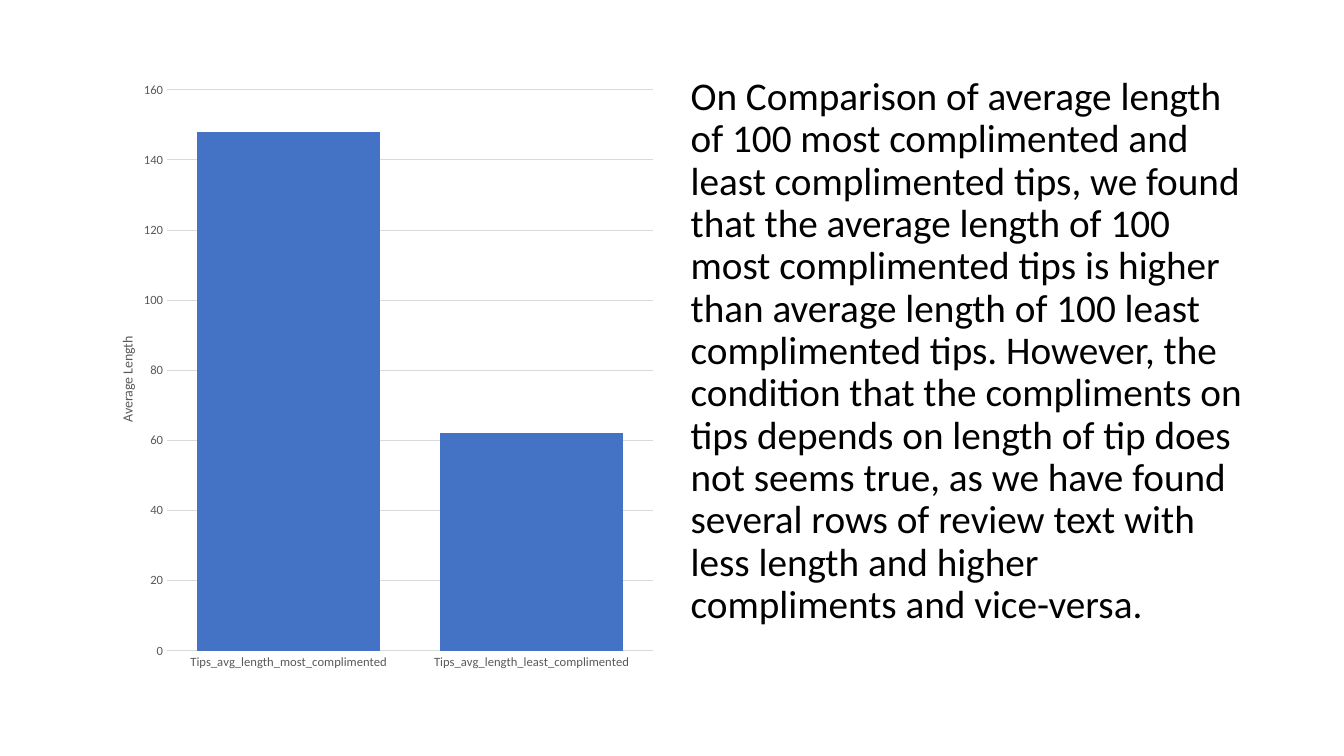
from dataclasses import dataclass

from lxml.etree import SubElement
from pptx import Presentation
from pptx.chart.chart import Chart
from pptx.chart.data import CategoryChartData
from pptx.dml.color import RGBColor
from pptx.enum.chart import XL_CHART_TYPE as ChartType, XL_TICK_MARK as TickMark
from pptx.enum.text import MSO_ANCHOR as Anchor, MSO_AUTO_SIZE as AutoSize, PP_ALIGN as Align
from pptx.oxml import parse_xml
from pptx.oxml.ns import nsdecls, qn
from pptx.slide import Slide
from pptx.util import Inches, Pt

BLACK = RGBColor(0x00, 0x00, 0x00)
GRAY = RGBColor(0x59, 0x59, 0x59)
PALE = RGBColor(0xD9, 0xD9, 0xD9)
BLUE = RGBColor(0x44, 0x72, 0xC4)
FONT = "Calibri"
WIDTH, HEIGHT = 13.33, 7.5
TOP, TALL, WIDE = 0.71, 6.05, 5.67
MARGIN, GUTTER = 0.92, 0.16

FINDING = (
    "On Comparison of average length of 100 most complimented and least "
    "complimented tips, we found that the average length of 100 most "
    "complimented tips is higher than average length of 100 least "
    "complimented tips. However, the condition that the compliments on tips "
    "depends on length of tip does not seems true, as we have found several "
    "rows of review text with less length and higher compliments and vice-versa."
)


@dataclass(frozen=True)
class Column:
    index: int

    def box(self) -> tuple[int, int, int, int]:
        left = MARGIN + self.index * (WIDE + GUTTER)
        return Inches(left), Inches(TOP), Inches(WIDE), Inches(TALL)


@dataclass(frozen=True)
class Bar:
    category: str
    length: int


BARS = (
    Bar("Tips_avg_length_most_complimented", 148),
    Bar("Tips_avg_length_least_complimented", 62),
)


def apply(target, values: dict) -> None:
    for name, value in values.items():
        setattr(target, name, value)


def style_font(font, size: int, color: RGBColor) -> None:
    apply(font, {"name": FONT, "size": Pt(size), "bold": False})
    font.color.rgb = color


def style_line(line) -> None:
    line.color.rgb = PALE
    line.width = Pt(0.75)


def place_part(part, index: int, shares: dict[str, float]) -> None:
    for old in part.findall(qn("c:layout")):
        part.remove(old)
    layout = parse_xml(f"<c:layout {nsdecls('c')}/>")
    manual = SubElement(layout, qn("c:manualLayout"))
    settings = {"xMode": "edge", "yMode": "edge", **shares}
    if "w" in shares:
        settings = {"layoutTarget": "inner", **settings}
    for name, value in settings.items():
        SubElement(manual, qn(f"c:{name}")).set("val", str(value))
    part.insert(index, layout)


def style_axes(chart: Chart) -> None:
    for axis in (chart.category_axis, chart.value_axis):
        apply(axis, {"major_tick_mark": TickMark.NONE, "minor_tick_mark": TickMark.NONE})
        style_font(axis.tick_labels.font, 9, GRAY)
    style_line(chart.category_axis.format.line)
    scale = chart.value_axis
    apply(scale, {"minimum_scale": 0, "maximum_scale": 160, "major_unit": 20})
    scale.format.line.fill.background()
    style_line(scale.major_gridlines.format.line)
    frame = scale.axis_title.text_frame
    frame.text = "Average Length"
    style_font(frame.paragraphs[0].runs[0].font, 10, GRAY)
    title = scale.axis_title._element
    body = next(title.iter(qn("a:bodyPr")))
    apply_attributes = {"rot": "-5400000", "vert": "horz"}
    for name, value in apply_attributes.items():
        body.set(name, value)
    place_part(title, 1, {"x": 0.04, "y": 0.43})


def add_lengths(page: Slide, column: Column) -> None:
    data = CategoryChartData()
    data.categories = [bar.category for bar in BARS]
    data.add_series("Series 1", [bar.length for bar in BARS])
    chart = page.shapes.add_chart(ChartType.COLUMN_CLUSTERED, *column.box(), data).chart
    apply(chart, {"has_legend": False, "has_title": False})
    style_font(chart.font, 10, BLACK)
    plot = chart.plots[0]
    apply(plot, {"gap_width": 33, "overlap": -30, "vary_by_categories": False})
    fill = plot.series[0].format.fill
    fill.solid()
    fill.fore_color.rgb = BLUE
    style_axes(chart)
    area = next(chart.element.iter(qn("c:plotArea")))
    place_part(area, 0, {"x": 0.13, "y": 0.03, "w": 0.85, "h": 0.92})


def write_finding(page: Slide, column: Column) -> None:
    box = page.placeholders[1]
    apply(box, dict(zip(("left", "top", "width", "height"), column.box())))
    frame = box.text_frame
    frame.text = FINDING
    apply(frame, {"word_wrap": True, "auto_size": AutoSize.NONE, "vertical_anchor": Anchor.TOP})
    para = frame.paragraphs[0]
    apply(para, {"line_spacing": 0.9, "space_before": Pt(10), "alignment": Align.LEFT})
    style_font(para.runs[0].font, 28, BLACK)
    properties = para._p.get_or_add_pPr()
    for name in ("marL", "indent"):
        properties.set(name, "0")
    SubElement(properties, qn("a:buNone"))


def main() -> None:
    deck = Presentation()
    apply(deck, {"slide_width": Inches(WIDTH), "slide_height": Inches(HEIGHT)})
    page = deck.slides.add_slide(deck.slide_layouts.get_by_name("Title and Content"))
    heading = page.shapes.title.element
    heading.getparent().remove(heading)
    write_finding(page, Column(1))
    add_lengths(page, Column(0))
    deck.save("out.pptx")


if __name__ == "__main__":
    main()
